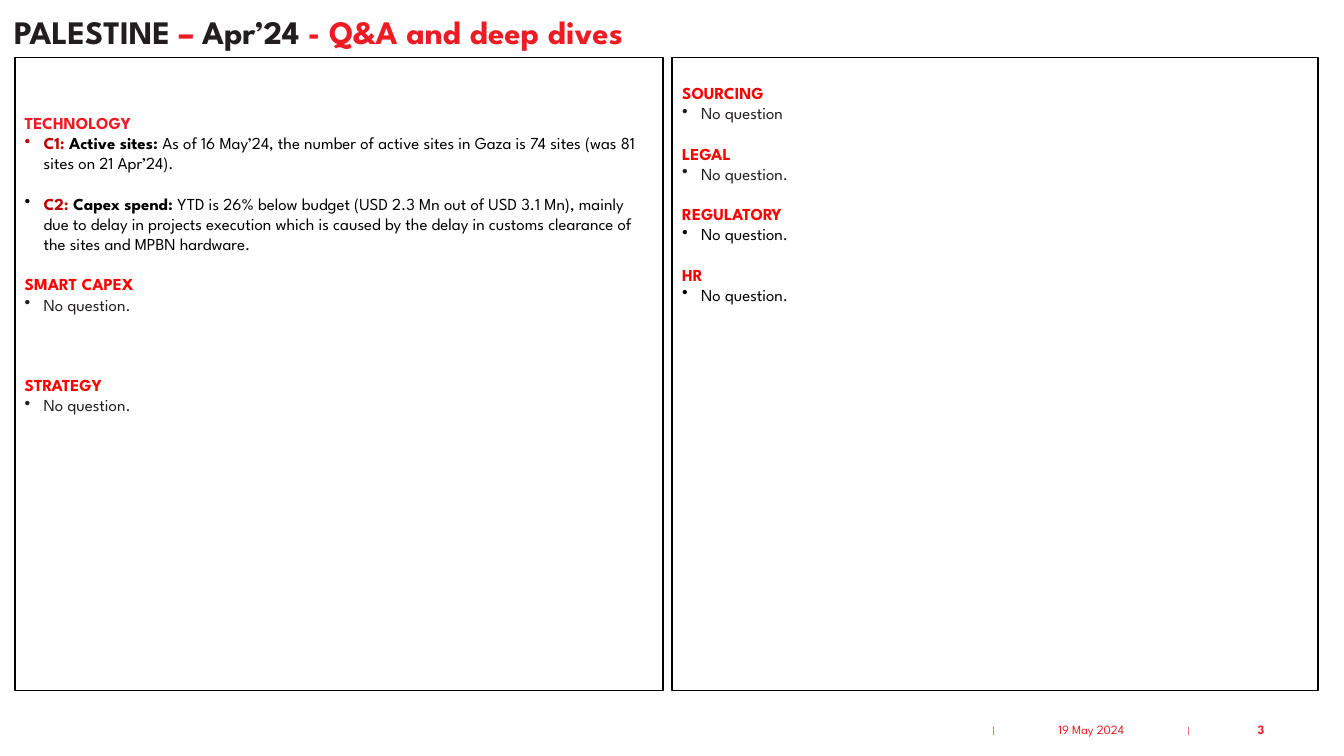
import pptx
import pptx.util
import pptx.dml.color
import pptx.enum.shapes
import pptx.enum.text
import lxml.etree
import pptx.oxml.ns

Pt = pptx.util.Pt
ALIGN = pptx.enum.text.PP_ALIGN
MIDDLE = pptx.enum.text.MSO_ANCHOR.MIDDLE
TOP = pptx.enum.text.MSO_ANCHOR.TOP
RED, BRIGHT, DEEP, DARK, BLACK = "ED1C24", "FF0000", "C00000", "221E20", "000000"
LINE = 14.4
INDENT = 13.5


def color(hex_value):
    return pptx.dml.color.RGBColor.from_string(hex_value)


def add_runs(p, runs, size, font="League Spartan"):
    """Append (text, colour, bold) runs to a paragraph."""
    for text, hex_value, bold in runs:
        r = p.add_run()
        r.text = text
        r.font.size = Pt(size)
        r.font.name = font
        r.font.bold = bold
        r.font.color.rgb = color(hex_value)


prs = pptx.Presentation()
prs.slide_width, prs.slide_height = Pt(960), Pt(540)
s = prs.slides.add_slide(prs.slide_layouts[6])

# Title and footer: left, top, width, height, alignment, size, font, runs
title = [("PALESTINE ", DARK, True), ("– ", RED, True), ("Apr’24", DARK, True),
         (" - Q&A and deep dives", RED, True)]
labels = [
    (10, 7.9, 948, 32.4, ALIGN.LEFT, 23.4, "League Spartan", title),
    (697, 514, 25.2, 14.4, ALIGN.CENTER, 6, "Noto Sans", [("|", RED, False)]),
    (838, 514, 22.3, 14.4, ALIGN.CENTER, 6, "Noto Sans", [("|", RED, False)]),
    (710.6, 507, 137.5, 28.8, ALIGN.CENTER, 9, "League Spartan", [("19 May 2024", RED, False)]),
    (848.2, 507, 62, 28.8, ALIGN.RIGHT, 9, "League Spartan", [("3", RED, True)]),
]
for left, top, width, height, align, size, font, runs in labels:
    tf = s.shapes.add_textbox(Pt(left), Pt(top), Pt(width), Pt(height)).text_frame
    tf.word_wrap = True
    tf.vertical_anchor = MIDDLE
    p = tf.paragraphs[0]
    p.alignment = align
    if runs is title:
        tf.margin_left = 0
        p.line_spacing = 0.9
    add_runs(p, runs, size, font)

# Panel paragraphs: blank lines before, bullet colour (None for a heading), runs
technology = [
    (0, None, [("TECHNOLOGY", RED, True)]),
    (0, DEEP, [("C1: ", DEEP, True), ("Active sites: ", BLACK, True),
               ("As of 16 May’24, the number of active sites in Gaza is 74 sites "
                "(was 81 sites on 21 Apr’24).", BLACK, False)]),
    (1, BLACK, [("C2: ", DEEP, True), ("Capex spend: ", BLACK, True),
                ("YTD is 26% below budget (USD 2.3 Mn out of USD 3.1 Mn), mainly due to delay "
                 "in projects execution which is caused by the delay in customs clearance of "
                 "the sites and MPBN hardware.", BLACK, False)]),
]
left_topics = [("SMART CAPEX", 1, "No question.", DARK), ("STRATEGY", 3, "No question.", DARK)]
right_topics = [("SOURCING", 0, "No question", DARK), ("LEGAL", 1, "No question.", DARK),
                ("REGULATORY", 1, "No question.", BLACK), ("HR", 1, "No question.", BLACK)]

# Panels: left, width, top margin, opening paragraphs, topics
panels = [(10.8, 467, 39.6, technology, left_topics),
          (484, 465.2, 18.2, [], right_topics)]
for left, width, margin, paragraphs, topics in panels:
    sp = s.shapes.add_shape(pptx.enum.shapes.MSO_SHAPE.RECTANGLE,
                            Pt(left), Pt(41), Pt(width), Pt(456))
    sp.left, sp.width, sp.height = Pt(left - 0.2 if topics is left_topics else 480.2), \
        Pt(463 if topics is left_topics else 461.5), Pt(452.2)
    sp.shadow.inherit = False
    sp.fill.solid()
    sp.fill.fore_color.rgb = color("FFFFFF")
    sp.line.color.rgb = color(BLACK)
    sp.line.width = Pt(1.25)
    tf = sp.text_frame
    tf.word_wrap = True
    tf.vertical_anchor = TOP
    tf.margin_top = Pt(margin)
    for heading, gap, answer, hex_value in topics:
        paragraphs = paragraphs + [(gap, None, [(heading, BRIGHT, True)]),
                                   (0, hex_value, [(answer, hex_value, False)])]
    for i, (gap, bullet, runs) in enumerate(paragraphs):
        p = tf.paragraphs[0] if i == 0 else tf.add_paragraph()
        p.alignment = ALIGN.LEFT
        p.space_before = Pt(gap * LINE)
        if bullet:
            pPr = p._p.get_or_add_pPr()
            pPr.set("marL", str(Pt(INDENT)))
            pPr.set("indent", str(-Pt(INDENT)))
            buClr = lxml.etree.SubElement(pPr, pptx.oxml.ns.qn("a:buClr"))
            lxml.etree.SubElement(buClr, pptx.oxml.ns.qn("a:srgbClr"), val=bullet)
            lxml.etree.SubElement(pPr, pptx.oxml.ns.qn("a:buChar"), char="•")
        add_runs(p, runs, 12)

prs.save("out.pptx")
